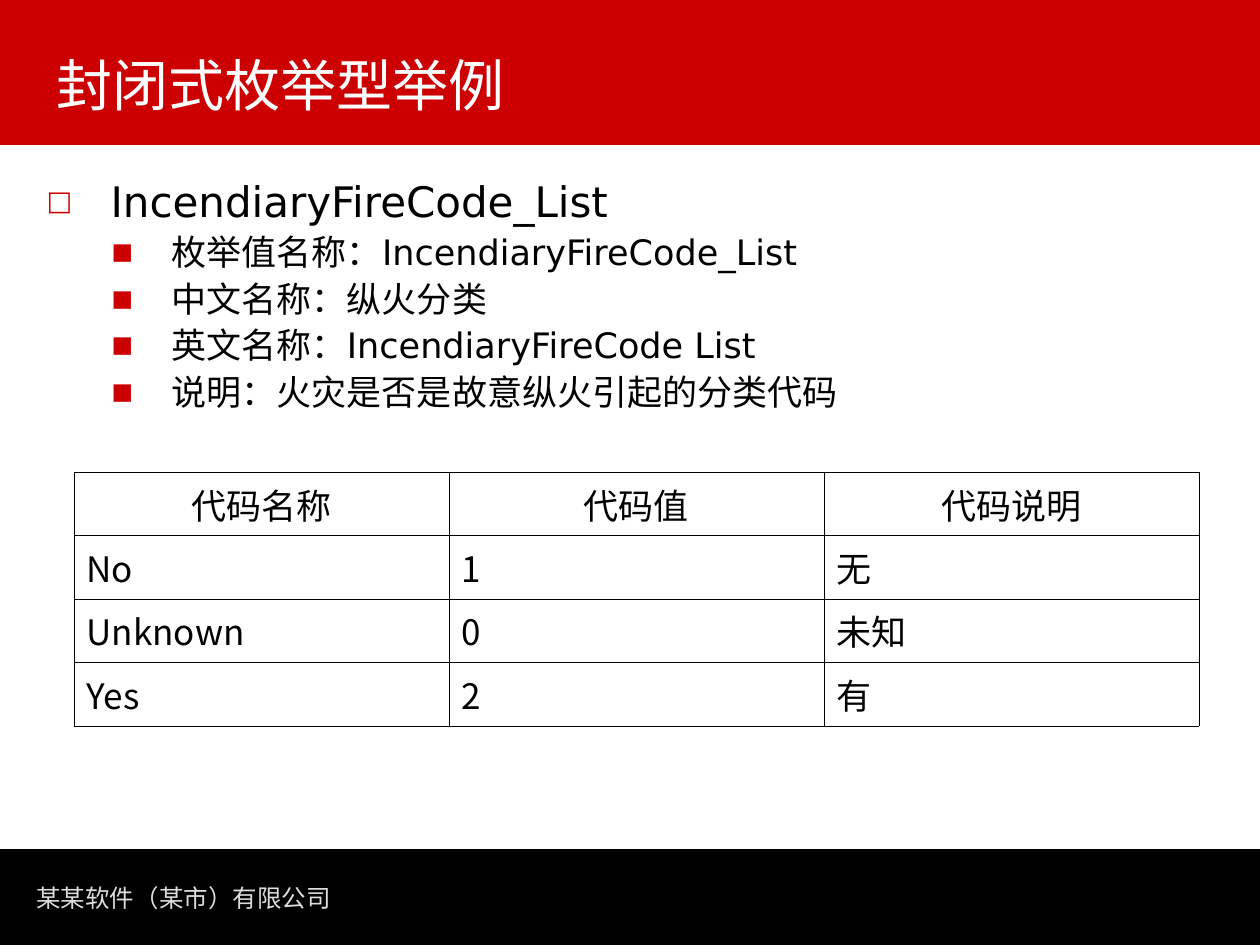
from lxml.etree import SubElement
from pptx import Presentation
from pptx.dml.color import RGBColor
from pptx.enum.shapes import MSO_SHAPE
from pptx.enum.text import MSO_ANCHOR, MSO_AUTO_SIZE, PP_ALIGN
from pptx.oxml.ns import qn
from pptx.util import Emu, Pt

# Content
TITLE = "封闭式枚举型举例"
FOOT = "某某软件（某市）有限公司"
LIST = [
    (0, "IncendiaryFireCode_List"),
    (1, "枚举值名称：IncendiaryFireCode_List"),
    (1, "中文名称：纵火分类"),
    (1, "英文名称：IncendiaryFireCode List"),
    (1, "说明：火灾是否是故意纵火引起的分类代码"),
]
ROWS = [
    ("代码名称", "代码值", "代码说明"),
    ("No", "1", "无"),
    ("Unknown", "0", "未知"),
    ("Yes", "2", "有"),
]

# Look
HUE = {"red": "CC0000", "black": "000000", "white": "FFFFFF", "grey": "DDDDDD"}
SANS, CJK = "DejaVu Sans", "Noto Sans CJK SC"
FONT = {
    "title": {"name": CJK, "size": Pt(32), "hue": "white"},
    "foot": {"name": SANS, "size": Pt(14), "hue": "grey"},
    "cell": {"name": CJK, "size": Pt(20), "hue": "black"},
    0: {"name": SANS, "size": Pt(24), "hue": "black"},
    1: {"name": SANS, "size": Pt(20), "hue": "black"},
}
# Per list level: bullet, left margin and hang in px, space before in points
LEVEL = [("□", 64, 64, 6), ("■", 125, 60, 5)]
BARS = [("red", (0, 0, 1260, 145)), ("black", (0, 849, 1260, 96))]
LEFT, TOP, WIDE, HIGH = 74, 472, 375, 63


def px(n):
    return Emu(round(n * 914400 / 126))


def rgb(hue):
    return RGBColor.from_string(HUE[hue])


def place(shape, *box):
    for key, n in zip(("left", "top", "width", "height"), box):
        setattr(shape, key, px(n))


def write(para, text, look):
    run = para.add_run()
    run.text = text
    for key, val in FONT[look].items():
        if key != "hue":
            setattr(run.font, key, val)
    run.font.color.rgb = rgb(FONT[look]["hue"])
    SubElement(run.font._element, qn("a:ea"), typeface=FONT[look]["name"])


def mark(para, sign, left, hang):
    props = para._p.get_or_add_pPr()
    props.set("marL", str(px(left)))
    props.set("indent", str(-px(hang)))
    tint = SubElement(props, qn("a:buClr"))
    SubElement(tint, qn("a:srgbClr"), val=HUE["red"])
    SubElement(props, qn("a:buSzPct"), val="65000")
    SubElement(props, qn("a:buFont"), typeface=SANS)
    SubElement(props, qn("a:buChar"), char=sign)


def edge(cell):
    props = cell._tc.get_or_add_tcPr()
    for i, side in enumerate(("lnL", "lnR", "lnT", "lnB")):
        line = props.makeelement(qn(f"a:{side}"), {"w": str(Pt(0.34))})
        fill = SubElement(line, qn("a:solidFill"))
        SubElement(fill, qn("a:srgbClr"), val=HUE["black"])
        props.insert(i, line)


deck = Presentation()
deck.slide_width, deck.slide_height = px(1260), px(945)
slide = deck.slides.add_slide(deck.slide_layouts[1])
title, body = slide.placeholders

# Bars behind the text
for i, (hue, box) in enumerate(BARS):
    bar = slide.shapes.add_shape(MSO_SHAPE.RECTANGLE, *map(px, box))
    bar.shadow.inherit = False
    bar.fill.solid()
    bar.fill.fore_color.rgb = rgb(hue)
    bar.line.fill.background()
    slide.shapes._spTree.insert(2 + i, bar._element)

# Title
place(title, 44, 6, 1150, 118)
frame = title.text_frame
frame.auto_size = MSO_AUTO_SIZE.NONE
frame.vertical_anchor = MSO_ANCHOR.BOTTOM
frame.paragraphs[0].alignment = PP_ALIGN.LEFT
write(frame.paragraphs[0], TITLE, "title")

# List
place(body, 34, 175, 1142, 267)
frame = body.text_frame
frame.auto_size = MSO_AUTO_SIZE.NONE
for i, (level, text) in enumerate(LIST):
    para = frame.add_paragraph() if i else frame.paragraphs[0]
    sign, left, hang, gap = LEVEL[level]
    para.level = level
    para.line_spacing = 0.9
    para.space_before = Pt(gap if i else 0)
    mark(para, sign, left, hang)
    write(para, text, level)

# Code table
count = len(ROWS[0])
table = slide.shapes.add_table(
    len(ROWS), count, px(LEFT), px(TOP), px(WIDE * count), px(HIGH * len(ROWS))
).table
table.first_row = table.horz_banding = False
for r, row in enumerate(ROWS):
    for c, text in enumerate(row):
        cell = table.cell(r, c)
        cell.fill.background()
        edge(cell)
        para = cell.text_frame.paragraphs[0]
        para.alignment = PP_ALIGN.LEFT if r else PP_ALIGN.CENTER
        write(para, text, "cell")

# Footer
foot = slide.shapes.add_textbox(*map(px, (24, 877, 320, 43)))
foot.text_frame.word_wrap = False
write(foot.text_frame.paragraphs[0], FOOT, "foot")

deck.save("out.pptx")
